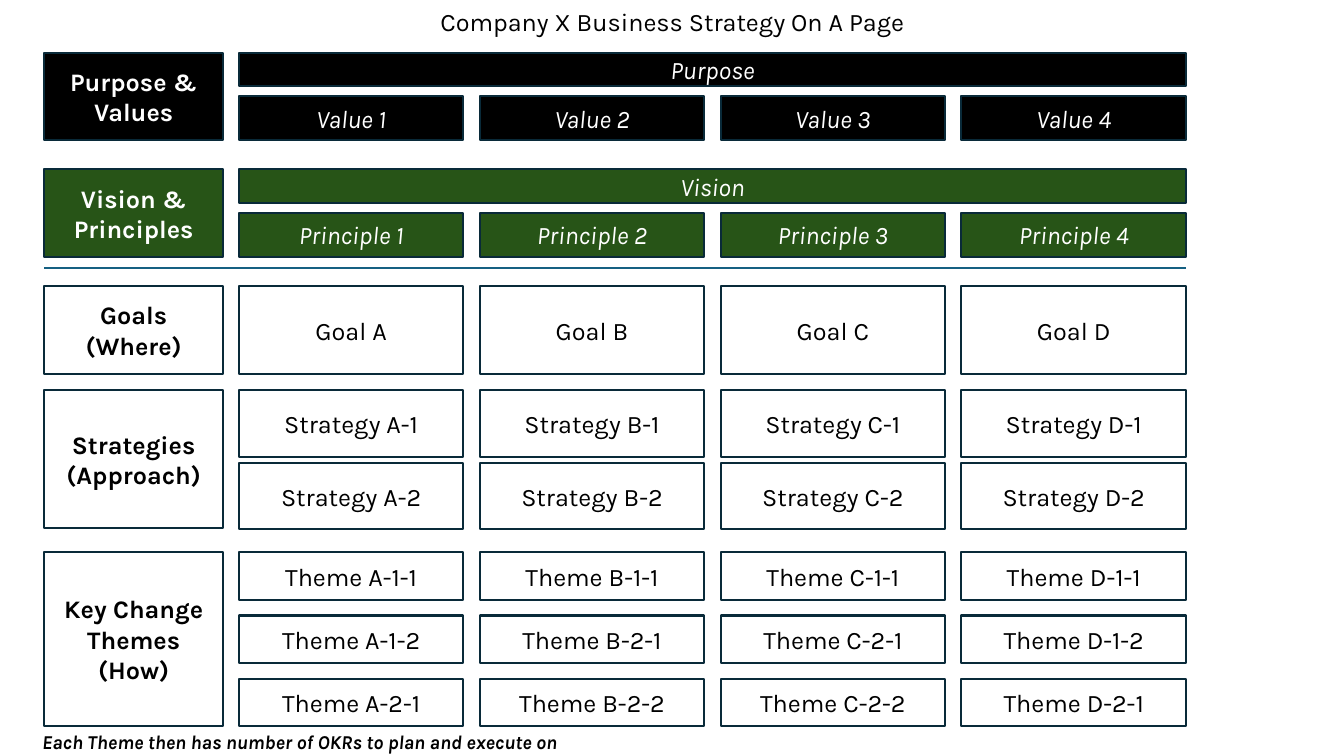
from dataclasses import dataclass

from lxml.etree import SubElement
from pptx import Presentation
from pptx.dml.color import RGBColor
from pptx.enum.shapes import MSO_CONNECTOR, MSO_SHAPE
from pptx.enum.text import MSO_ANCHOR, MSO_AUTO_SIZE, PP_ALIGN
from pptx.oxml.ns import qn
from pptx.slide import Slide
from pptx.text.text import TextFrame
from pptx.util import Cm, Pt

BLACK = RGBColor(0x00, 0x00, 0x00)
WHITE = RGBColor(0xFF, 0xFF, 0xFF)
GREEN = RGBColor(0x27, 0x54, 0x17)
NAVY = RGBColor(0x09, 0x2A, 0x39)
BLUE = RGBColor(0x15, 0x60, 0x82)
FONT = "Karla"

# Grid, in centimetres
LABEL_LEFT, LABEL_WIDTH = 1.12, 4.5
CELL_LEFT, CELL_WIDTH, CELL_PITCH = 6.02, 5.66, 6.07
BANNER_WIDTH, BANNER_HEIGHT, BANNER_PITCH = 23.87, 0.84, 1.1
DIVIDER_TOP = 6.76


@dataclass
class Band:
    label: str
    top: float
    height: float
    rows: list[list[str]]
    row_height: float
    row_pitch: float = 0
    banner: str = ""
    fill: RGBColor = WHITE
    color: RGBColor = BLACK


BANDS = [
    Band("Purpose & Values", 1.33, 2.21, [[f"Value {n}" for n in range(1, 5)]],
         1.1, banner="Purpose", fill=BLACK, color=WHITE),
    Band("Vision & Principles", 4.27, 2.21, [[f"Principle {n}" for n in range(1, 5)]],
         1.1, banner="Vision", fill=GREEN, color=WHITE),
    Band("Goals\n(Where)", 7.21, 2.21, [[f"Goal {c}" for c in "ABCD"]], 2.21),
    Band("Strategies\n(Approach)", 9.83, 3.48,
         [[f"Strategy {c}-{n}" for c in "ABCD"] for n in (1, 2)], 1.68, 1.83),
    Band("Key Change Themes\n(How)", 13.92, 4.37,
         [["Theme A-1-1", "Theme B-1-1", "Theme C-1-1", "Theme D-1-1"],
          ["Theme A-1-2", "Theme B-2-1", "Theme C-2-1", "Theme D-1-2"],
          ["Theme A-2-1", "Theme B-2-2", "Theme C-2-2", "Theme D-2-1"]], 1.19, 1.59),
]


def write(tf: TextFrame, text: str, color: RGBColor = BLACK, size: int = 18,
          bold: bool = False, italic: bool = False,
          align: PP_ALIGN = PP_ALIGN.CENTER) -> None:
    tf.text = text
    for p in tf.paragraphs:
        p.alignment = align
        p.font.name = FONT
        p.font.size = Pt(size)
        p.font.bold = bold
        p.font.italic = italic
        p.font.color.rgb = color


def add_box(s: Slide, band: Band, text: str, left: float, top: float, width: float,
            height: float, bold: bool = False, italic: bool = False) -> None:
    sp = s.shapes.add_shape(MSO_SHAPE.RECTANGLE, Cm(left), Cm(top), Cm(width), Cm(height))
    sp.shadow.inherit = False
    sp.fill.solid()
    sp.fill.fore_color.rgb = band.fill
    sp.line.color.rgb = NAVY
    sp.line.width = Pt(1.5)
    sp.text_frame.vertical_anchor = MSO_ANCHOR.MIDDLE
    write(sp.text_frame, text, band.color, bold=bold, italic=italic)


def add_band(s: Slide, band: Band) -> None:
    add_box(s, band, band.label, LABEL_LEFT, band.top, LABEL_WIDTH, band.height, bold=True)
    rows_top = band.top
    italic = bool(band.banner)
    if band.banner:
        add_box(s, band, band.banner, CELL_LEFT, band.top, BANNER_WIDTH, BANNER_HEIGHT,
                italic=True)
        rows_top += BANNER_PITCH
    for i, row in enumerate(band.rows):
        for j, text in enumerate(row):
            add_box(s, band, text, CELL_LEFT + j * CELL_PITCH, rows_top + i * band.row_pitch,
                    CELL_WIDTH, band.row_height, italic=italic)


def add_divider(s: Slide) -> None:
    line = s.shapes.add_connector(MSO_CONNECTOR.STRAIGHT, Cm(LABEL_LEFT), Cm(DIVIDER_TOP),
                                  Cm(CELL_LEFT + BANNER_WIDTH), Cm(DIVIDER_TOP))
    line.line.color.rgb = BLUE
    line.line.width = Pt(1.5)
    SubElement(line._element.spPr, qn("a:effectLst"))


def main() -> None:
    prs = Presentation()
    prs.slide_width, prs.slide_height = Cm(33.87), Cm(19.05)
    s = prs.slides.add_slide(prs.slide_layouts[6])

    # Title
    tf = s.shapes.add_textbox(Cm(2.34), Cm(0.3), Cm(29.21), Cm(0.56)).text_frame
    tf.word_wrap = True
    tf.vertical_anchor = MSO_ANCHOR.MIDDLE
    write(tf, "Company X Business Strategy On A Page")
    tf.paragraphs[0].line_spacing = 0.9

    # Strategy bands and the line between vision and goals
    for band in BANDS:
        add_band(s, band)
    add_divider(s)

    # Footnote
    tf = s.shapes.add_textbox(Cm(0.81), Cm(18.26), Cm(14.35), Cm(0.86)).text_frame
    tf.word_wrap = False
    tf.auto_size = MSO_AUTO_SIZE.SHAPE_TO_FIT_TEXT
    write(tf, "Each Theme then has number of OKRs to plan and execute on", size=14,
          bold=True, italic=True, align=PP_ALIGN.LEFT)

    prs.save("out.pptx")


if __name__ == "__main__":
    main()
